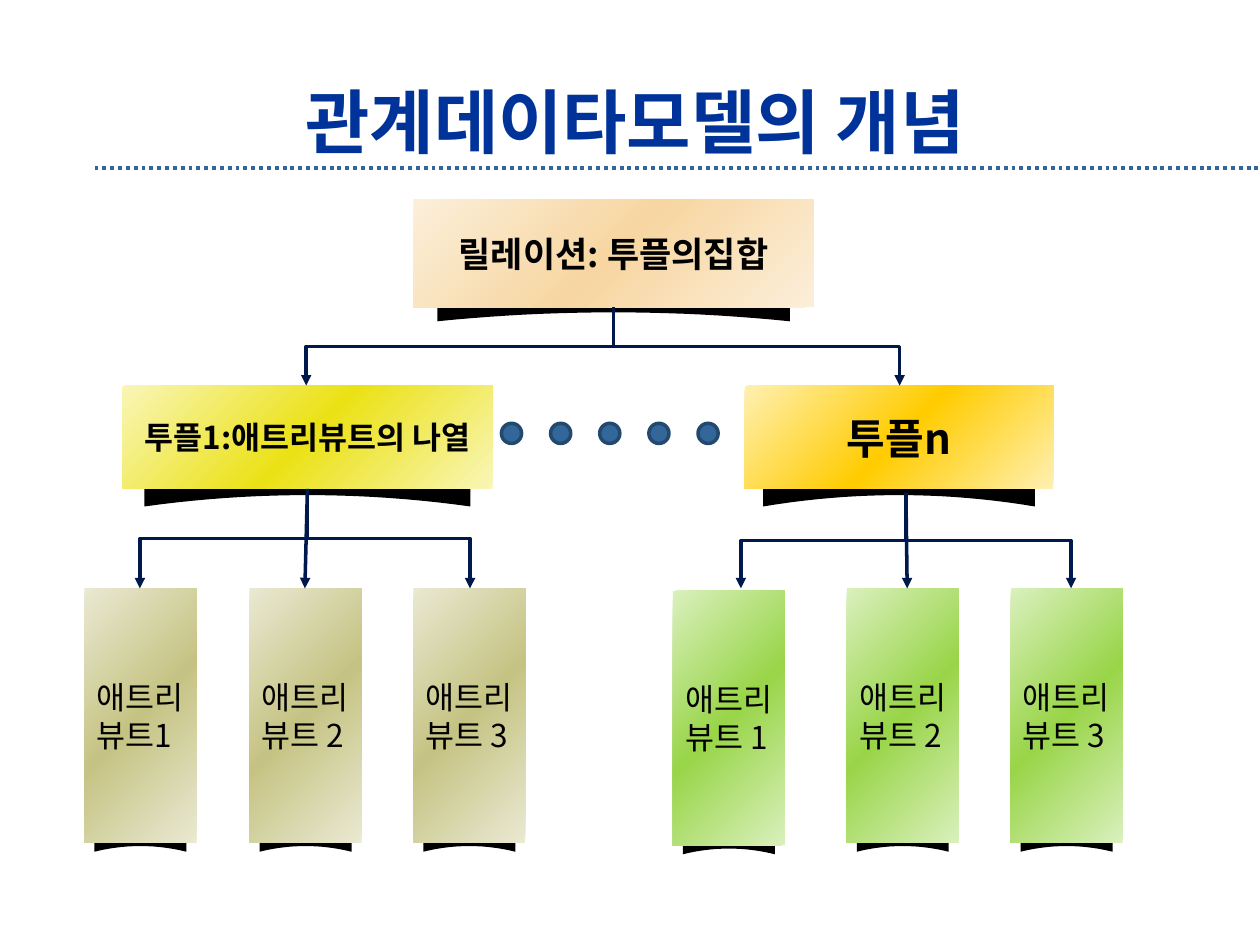
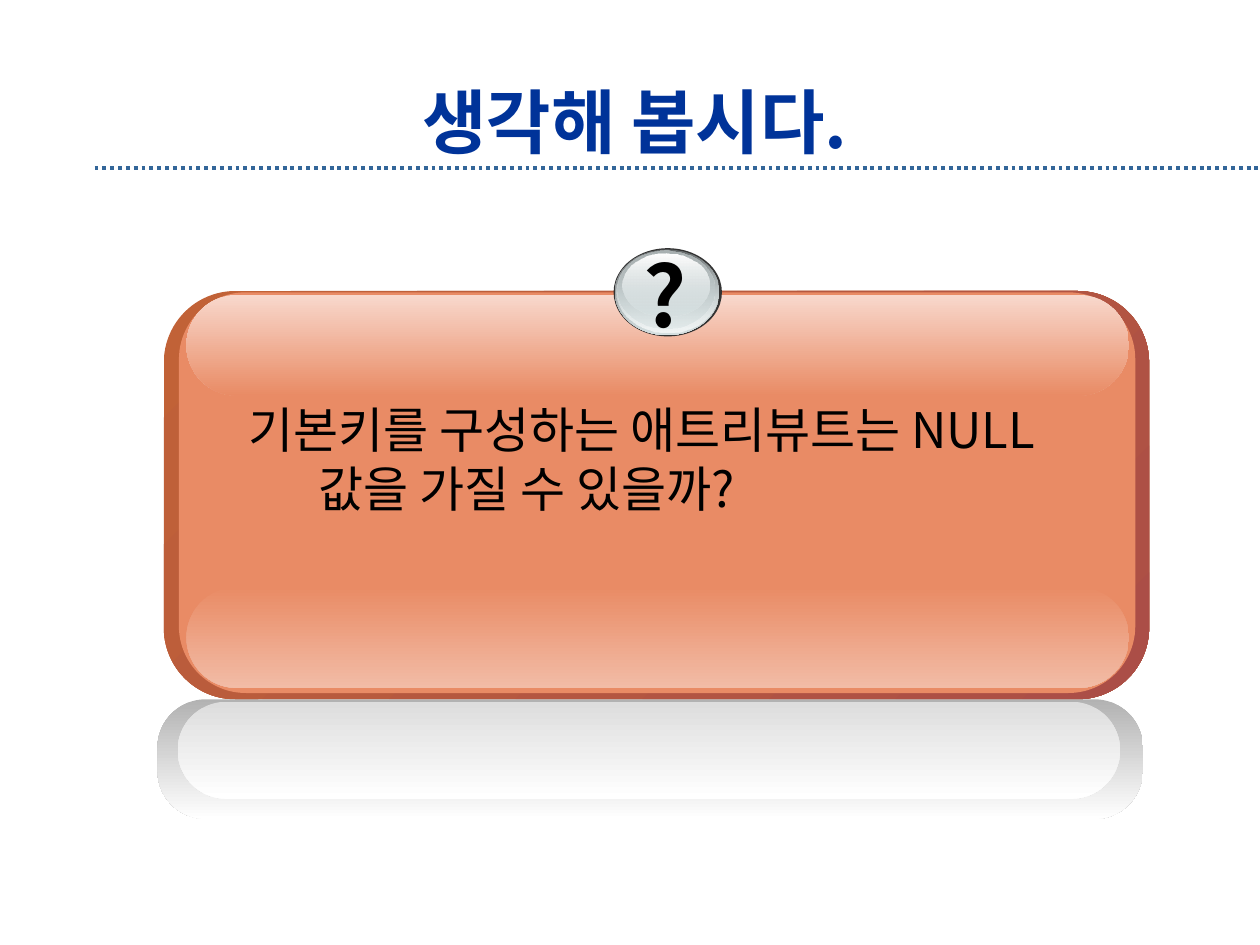
import dataclasses

import lxml.etree
import pptx
import pptx.dml.color
import pptx.enum.dml
import pptx.enum.shapes
import pptx.enum.text
import pptx.oxml.ns
import pptx.util

Inches = pptx.util.Inches
Pt = pptx.util.Pt
qn = pptx.oxml.ns.qn
SHAPE = pptx.enum.shapes.MSO_SHAPE
CONNECTOR = pptx.enum.shapes.MSO_CONNECTOR
ALIGN = pptx.enum.text.PP_ALIGN
ANCHOR = pptx.enum.text.MSO_ANCHOR


@dataclasses.dataclass(frozen=True)
class Theme:
    font: str = "Noto Sans CJK KR"
    title: str = "003399"
    rule: str = "336699"
    dot_line: str = "23496F"
    arrow: str = "00194D"
    text: str = "000000"
    shadow: str = "000000"
    relation: tuple = ("FCEFDA", "F7D6A1", "FCEFDA")
    first_tuple: tuple = ("F9F6B8", "EBE115", "F9F6B8")
    last_tuple: tuple = ("FFF0B2", "FFCC00", "FFF0B2")
    first_attribute: tuple = ("EAE9D2", "C5C383", "EAE9D2")
    last_attribute: tuple = ("DAF0BD", "99D549", "DAF0BD")
    panel: str = "E98B65"
    panel_rim: tuple = ("C16237", "AB4E47")
    panel_top: tuple = ("F8D8CC", "E98B65")
    panel_bottom: tuple = ("E98B65", "F2BCA6")
    reflection: tuple = ("B2B2B2", "FFFFFF")
    inner_reflection: tuple = ("DDDDDD", "FFFFFF")
    badge_edge: str = "333333"
    title_size: int = 40
    mark_size: int = 48
    question_size: int = 28
    large_size: int = 24
    relation_size: int = 20
    body_size: int = 18


THEME = Theme()


def rgb(color):
    return pptx.dml.color.RGBColor.from_string(color)


def fill_shape(s, fill, angle=90):
    """Fill with one colour, or with evenly spaced stops: a colour or (colour, alpha %)."""
    if isinstance(fill, str):
        s.fill.solid()
        s.fill.fore_color.rgb = rgb(fill)
        return
    s.fill.gradient()
    grad = s.element.spPr.find(qn("a:gradFill"))
    for child in list(grad):
        grad.remove(child)
    stops = lxml.etree.SubElement(grad, qn("a:gsLst"))
    for i, stop in enumerate(fill):
        color, alpha = (stop, 100) if isinstance(stop, str) else stop
        position = round(100000 * i / (len(fill) - 1))
        gs = lxml.etree.SubElement(stops, qn("a:gs"), pos=str(position))
        clr = lxml.etree.SubElement(gs, qn("a:srgbClr"), val=color)
        if alpha < 100:
            lxml.etree.SubElement(clr, qn("a:alpha"), val=str(alpha * 1000))
    lxml.etree.SubElement(grad, qn("a:lin"), ang=str(angle * 60000), scaled="0")


def add_shape(slide, kind, box, fill, angle=90, radius=None):
    s = slide.shapes.add_shape(kind, *map(Inches, box))
    s.shadow.inherit = False
    s.line.fill.background()
    fill_shape(s, fill, angle)
    if radius is not None:
        s.adjustments[0] = radius
    return s


def set_text(s, text, size, bold=False, color=THEME.text, align=ALIGN.LEFT,
             anchor=ANCHOR.MIDDLE, wrap=False):
    tf = s.text_frame
    tf.text = text
    tf.word_wrap = wrap
    tf.vertical_anchor = anchor
    for p in tf.paragraphs:
        p.alignment = align
        for r in p.runs:
            r.font.size, r.font.bold, r.font.name = Pt(size), bold, THEME.font
            r.font.color.rgb = rgb(color)
            ea = lxml.etree.SubElement(r.font._element, qn("a:ea"))
            ea.set("typeface", THEME.font)


def add_line(slide, kind, start, end, color, width):
    s = slide.shapes.add_connector(kind, *map(Inches, (*start, *end)))
    s.line.color.rgb = rgb(color)
    s.line.width = Pt(width)
    lxml.etree.SubElement(s.element.spPr, qn("a:effectLst"))
    return s


def add_arrow(slide, start, end):
    """Arrow going down; it bends halfway when the ends are not aligned."""
    (x1, y1), (x2, y2) = start, end
    if abs(x2 - x1) < 0.05:
        s = add_line(slide, CONNECTOR.STRAIGHT, start, end, THEME.arrow, 2)
    else:
        # The elbow runs sideways first, so lay it out turned by a quarter.
        mid_x, mid_y = (x1 + x2) / 2, (y1 + y2) / 2
        side = 1 if x2 > x1 else -1
        half_w, half_h = side * (y2 - y1) / 2, abs(x2 - x1) / 2
        s = add_line(slide, CONNECTOR.ELBOW, (mid_x + half_w, mid_y - half_h),
                     (mid_x - half_w, mid_y + half_h), THEME.arrow, 2)
        turn = 270 if side > 0 else 90
        s.element.spPr.find(qn("a:xfrm")).set("rot", str(turn * 60000))
    ln = s.line._get_or_add_ln()
    lxml.etree.SubElement(ln, qn("a:tailEnd"), type="triangle")


def add_branches(slide, start, target_xs, target_y):
    for x in target_xs:
        add_arrow(slide, start, (x, target_y))


def add_curled_shadow(slide, box, inset, drop):
    """Dark strip below a box, its lower edge arched upwards."""
    x, y, w, h = box
    left, width = x + inset * w, (1 - 2 * inset) * w
    height = 2.3 * drop
    top = y + h + drop - height
    steps = 20
    arch = [(i / steps, 1 - 1.12 * (i / steps) * (1 - i / steps))
            for i in range(steps + 1)]
    outline = [(left + u * width, top + v * height)
               for u, v in [(0, 0.25), (0.5, 0), (1, 0.25), *reversed(arch)]]
    points = [(Inches(px), Inches(py)) for px, py in outline]
    builder = slide.shapes.build_freeform(*points[0])
    builder.add_line_segments(points[1:])
    s = builder.convert_to_shape()
    s.shadow.inherit = False
    s.line.fill.background()
    fill_shape(s, THEME.shadow)


def add_node(slide, box, text, fill, size, drop, inset=0.06, bold=True,
             align=ALIGN.CENTER):
    add_curled_shadow(slide, box, inset, drop)
    s = add_shape(slide, SHAPE.RECTANGLE, box, fill, angle=45)
    set_text(s, text, size, bold=bold, align=align)


def add_attribute(slide, box, label, fill):
    add_node(slide, box, "애트리\n" + label, fill, THEME.body_size, drop=0.07,
             inset=0.09, bold=False, align=ALIGN.LEFT)


def add_dots(slide, x, y, count=5, size=0.16, pitch=0.39):
    for i in range(count):
        s = add_shape(slide, SHAPE.OVAL, (x + i * pitch, y, size, size), THEME.rule)
        s.line.color.rgb = rgb(THEME.dot_line)
        s.line.width = Pt(2)


def add_titled_slide(prs, title):
    slide = prs.slides.add_slide(prs.slide_layouts[5])
    rule = add_line(slide, CONNECTOR.STRAIGHT, (0.75, 1.33), (10, 1.33),
                    THEME.rule, 2.25)
    rule.line.dash_style = pptx.enum.dml.MSO_LINE.ROUND_DOT
    s = slide.shapes.title
    s.left, s.top, s.width, s.height = map(Inches, (0.75, 0.67, 8.58, 0.58))
    set_text(s, title, THEME.title_size, bold=True, color=THEME.title,
             align=ALIGN.CENTER, wrap=True)
    s.text_frame.auto_size = pptx.enum.text.MSO_AUTO_SIZE.NONE
    return slide


def build_model_slide(prs):
    slide = add_titled_slide(prs, "관계데이타모델의 개념")
    attribute_y, width, height = 4.67, 0.89, 2.02
    for x, label in zip((0.67, 1.98, 3.28), ("뷰트1", "뷰트 2", "뷰트 3")):
        add_attribute(slide, (x, attribute_y, width, height), label,
                      THEME.first_attribute)
    for x, dy, label in ((5.34, 0.02, "뷰트 1"), (6.72, 0, "뷰트 2"),
                         (8.02, 0, "뷰트 3")):
        add_attribute(slide, (x, attribute_y + dy, width, height), label,
                      THEME.last_attribute)

    tuple_y = 3.06
    add_node(slide, (0.97, tuple_y, 2.94, 0.82), "투플1:애트리뷰트의 나열",
             THEME.first_tuple, THEME.body_size, drop=0.14)
    add_node(slide, (5.91, tuple_y, 2.45, 0.82), "투플n",
             THEME.last_tuple, THEME.large_size, drop=0.14)
    add_node(slide, (3.28, 1.58, 3.18, 0.86), "릴레이션: 투플의집합",
             THEME.relation, THEME.relation_size, drop=0.11)

    add_branches(slide, (2.44, 3.88), (1.11, 2.42, 3.73), attribute_y)
    add_branches(slide, (4.87, 2.44), (2.43, 7.14), tuple_y)
    add_branches(slide, (7.19, 3.91), (5.88, 7.2, 8.5), attribute_y)
    add_dots(slide, 3.98, 3.36)


def add_question_panel(slide, box, text):
    x, y, w, h = box
    layers = (
        ((0, 0, w, h), THEME.panel_rim, 45, 0.175),
        ((0.12, 0.01, w - 0.23, h - 0.06), THEME.panel, 90, 0.167),
        ((0.18, h - 0.89, w - 0.34, 0.8), THEME.panel_bottom, 90, 0.5),
        ((0.18, 0.03, w - 0.34, 0.8), THEME.panel_top, 90, 0.5),
        ((-0.05, h, w, 0.95), THEME.reflection, 90, 0.404),
        ((0.11, h + 0.02, w - 0.34, 0.77), THEME.inner_reflection, 90, 0.5),
    )
    for (dx, dy, lw, lh), fill, angle, radius in layers:
        add_shape(slide, SHAPE.ROUNDED_RECTANGLE, (x + dx, y + dy, lw, lh),
                  fill, angle, radius)
    s = slide.shapes.add_textbox(*map(Inches, (x + 0.57, y + 0.81, 7.05, 1.04)))
    set_text(s, text, THEME.question_size, anchor=ANCHOR.TOP, wrap=True)
    pPr = s.text_frame.paragraphs[0]._p.get_or_add_pPr()
    pPr.set("marL", str(Inches(0.56)))
    pPr.set("indent", str(-Inches(0.56)))


def add_question_badge(slide, x, y):
    """Glossy button built from stacked ellipses."""
    layers = (
        ((0, 0, 0.86, 0.7), THEME.badge_edge),
        ((0.01, 0.01, 0.83, 0.68), ("636869", "D6E1E2")),
        ((0.02, 0.01, 0.81, 0.66), (("D6E1E2", 0), "F1F5F5")),
        ((0.03, 0.02, 0.77, 0.62), ("AAB2B3", ("D6E1E2", 48))),
        ((0.07, 0.04, 0.69, 0.5), ("FFFFFF", ("D6E1E2", 38))),
    )
    for (dx, dy, w, h), fill in layers:
        add_shape(slide, SHAPE.OVAL, (x + dx, y + dy, w, h), fill)
    s = slide.shapes.add_textbox(*map(Inches, (x + 0.14, y - 0.09, 0.56, 0.9)))
    set_text(s, "?", THEME.mark_size, bold=True, anchor=ANCHOR.TOP)


def build_question_slide(prs):
    slide = add_titled_slide(prs, "생각해 봅시다.")
    add_question_panel(slide, (1.3, 2.31, 7.82, 3.24),
                       "기본키를 구성하는 애트리뷰트는 NULL 값을 가질 수 있을까?")
    add_question_badge(slide, 4.87, 1.97)


def main():
    prs = pptx.Presentation()
    prs.slide_width, prs.slide_height = Inches(10), Inches(7.5)
    build_model_slide(prs)
    build_question_slide(prs)
    prs.save("out.pptx")


if __name__ == "__main__":
    main()
